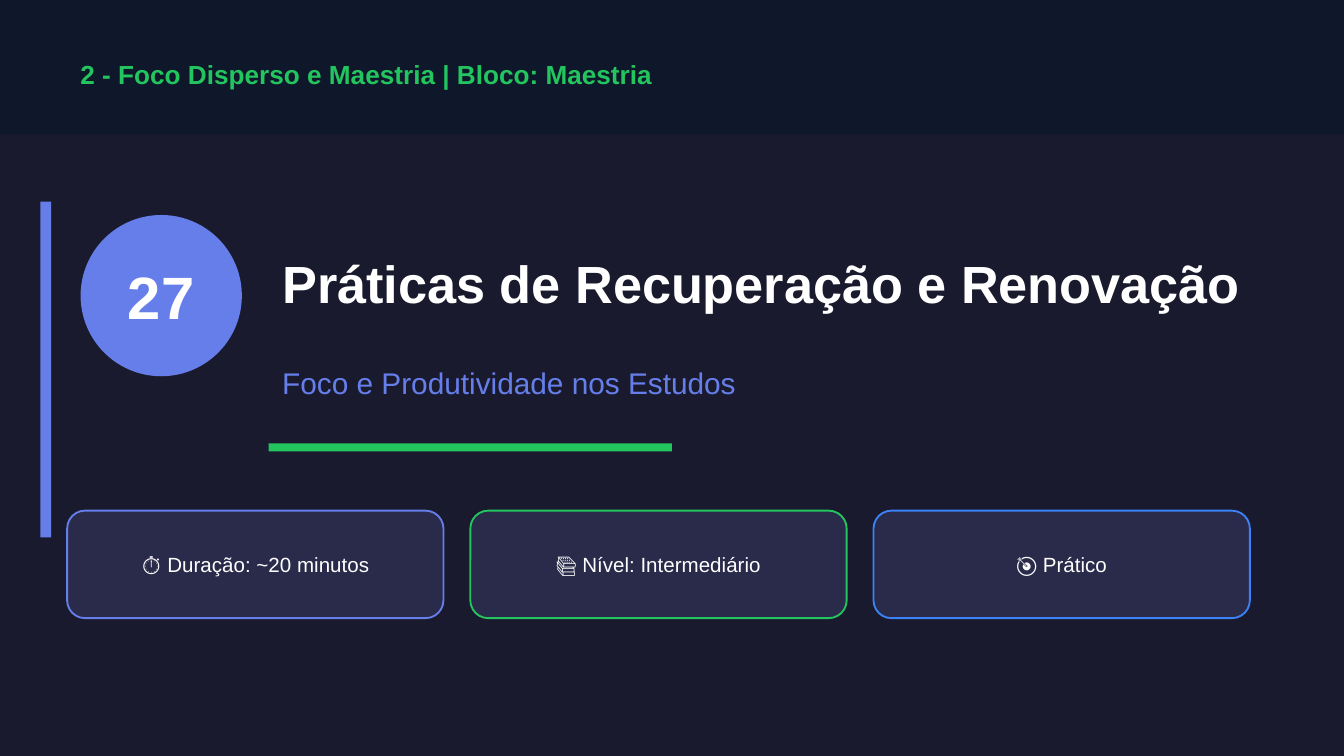
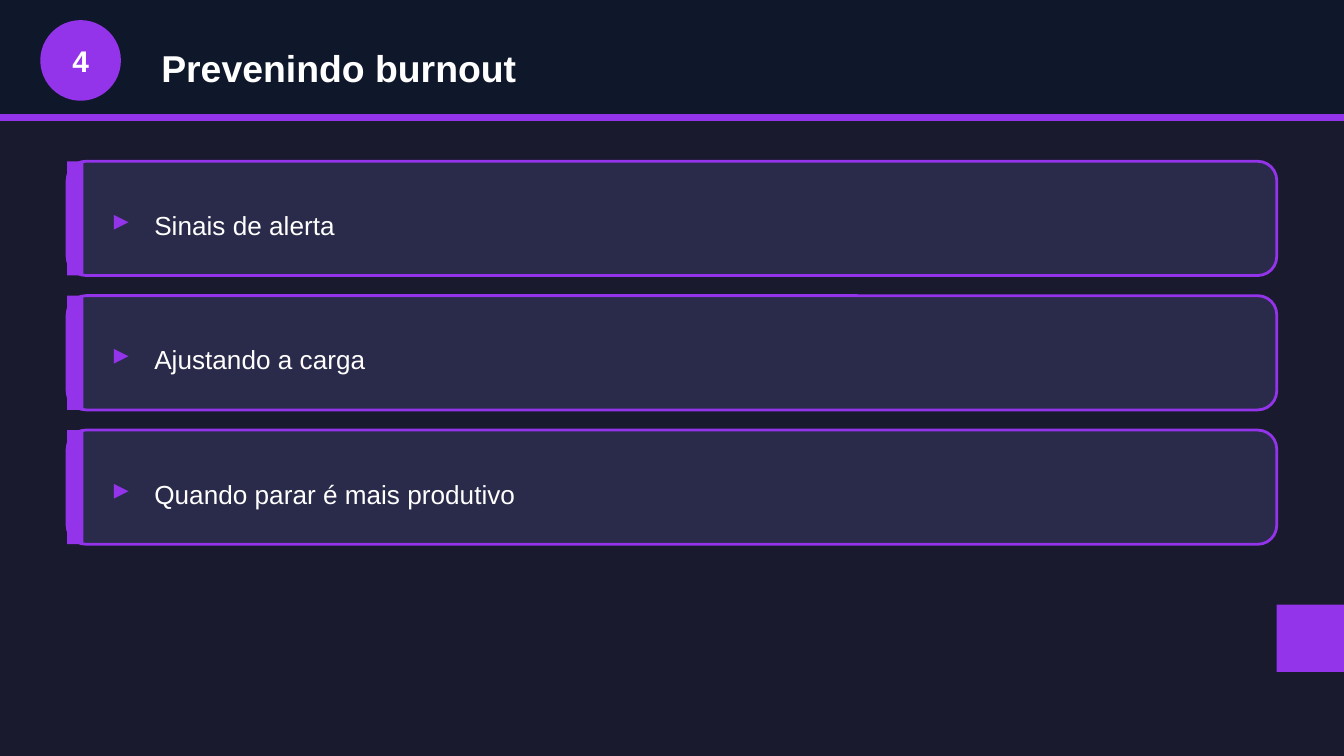
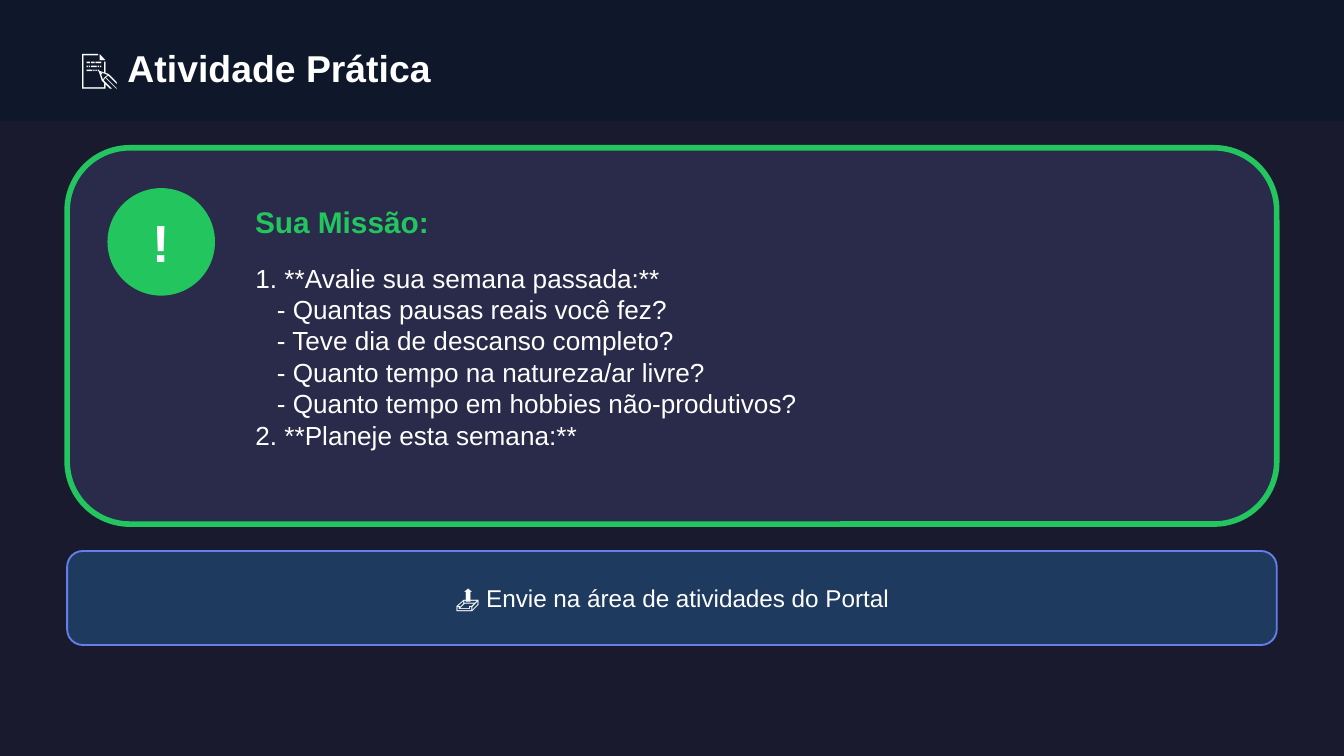
from pptx import Presentation
from pptx.dml.color import RGBColor
from pptx.enum.shapes import MSO_SHAPE
from pptx.enum.text import MSO_ANCHOR, MSO_AUTO_SIZE, PP_ALIGN
from pptx.util import Emu, Pt

# Content
COVER = {
    "module": "2 - Foco Disperso e Maestria | Bloco: Maestria",
    "number": "27",
    "title": "Práticas de Recuperação e Renovação",
    "subtitle": "Foco e Produtividade nos Estudos",
}
TOPIC = {
    "number": "4",
    "title": "Prevenindo burnout",
    "items": ["Sinais de alerta", "Ajustando a carga", "Quando parar é mais produtivo"],
}
ACTIVITY = {
    "title": "📝 Atividade Prática",
    "heading": "Sua Missão:",
    "steps": [  # (level, text)
        (0, "1. **Avalie sua semana passada:**"),
        (1, "- Quantas pausas reais você fez?"),
        (1, "- Teve dia de descanso completo?"),
        (1, "- Quanto tempo na natureza/ar livre?"),
        (1, "- Quanto tempo em hobbies não-produtivos?"),
        (0, "2. **Planeje esta semana:**"),
    ],
    "delivery": "📤 Envie na área de atividades do Portal",
}

# Shared style: 100 px to the inch, 16:9 slides
SCALE = 9144
WIDTH = 1000
MARGIN = 50
FONT = "Arial"
BACKGROUND, BAND, CARD, DELIVERY = "1A1A2E", "0F172A", "2A2A4A", "1E3A5F"
WHITE, INDIGO, GREEN, BLUE, PURPLE = "FFFFFF", "667EEA", "22C55E", "3B82F6", "9333EA"
FACTS = [
    ("⏱ Duração: ~20 minutos", INDIGO),
    ("📚 Nível: Intermediário", GREEN),
    ("🎯 Prático", BLUE),
]
RECTANGLE, ROUNDED, OVAL = MSO_SHAPE.RECTANGLE, MSO_SHAPE.ROUNDED_RECTANGLE, MSO_SHAPE.OVAL
LEFT, CENTER = PP_ALIGN.LEFT, PP_ALIGN.CENTER
TOP, MIDDLE = MSO_ANCHOR.TOP, MSO_ANCHOR.MIDDLE
NO_AUTOFIT = MSO_AUTO_SIZE.NONE
TITLE_LAYOUT, CONTENT_LAYOUT, TITLE_ONLY_LAYOUT = 0, 1, 5


def px(length):
    return Emu(length * SCALE)


def color(hex_string):
    return RGBColor.from_string(hex_string)


def write(shape, lines, size, ink=WHITE, bold=False, align=LEFT, anchor=MIDDLE):
    """Fill a shape with one paragraph per line."""
    frame = shape.text_frame
    frame.text = "\n".join(lines)
    frame.word_wrap = True
    frame.auto_size = NO_AUTOFIT
    frame.vertical_anchor = anchor
    for paragraph in frame.paragraphs:
        paragraph.alignment = align
        paragraph.space_before = Pt(0)
        font = paragraph.font
        font.name, font.size, font.bold = FONT, Pt(size), bold
        font.color.rgb = color(ink)


def add_text(slide, box, text, size, **style):
    write(slide.shapes.add_textbox(*map(px, box)), [text], size, **style)


def place(placeholder, box, lines, size, **style):
    """Move a placeholder to its box, in front of what is already drawn."""
    placeholder.left, placeholder.top, placeholder.width, placeholder.height = map(px, box)
    placeholder.element.getparent().append(placeholder.element)
    write(placeholder, lines, size, **style)


def add_shape(slide, kind, box, fill, line=None, line_width=1):
    shape = slide.shapes.add_shape(kind, *map(px, box))
    shape.shadow.inherit = False
    shape.fill.solid()
    shape.fill.fore_color.rgb = color(fill)
    if line:
        shape.line.color.rgb = color(line)
        shape.line.width = Pt(line_width)
    else:
        shape.line.fill.background()
    return shape


def add_badge(slide, left, top, diameter, fill, text, size):
    badge = add_shape(slide, OVAL, (left, top, diameter, diameter), fill)
    write(badge, [text], size, bold=True, align=CENTER)


def add_slide(presentation, layout, band_height):
    slide = presentation.slides.add_slide(presentation.slide_layouts[layout])
    add_shape(slide, RECTANGLE, (0, 0, WIDTH, band_height), BAND)
    return slide


def build_cover(presentation):
    slide = add_slide(presentation, TITLE_LAYOUT, 100)
    add_text(slide, (MARGIN, 35, 900, 40), COVER["module"], 14, ink=GREEN, bold=True)
    add_shape(slide, RECTANGLE, (30, 150, 8, 250), INDIGO)
    add_badge(slide, 60, 160, 120, INDIGO, COVER["number"], 32)
    place(slide.shapes.title, (200, 160, 750, 100), [COVER["title"]], 28, bold=True)
    place(slide.placeholders[1], (200, 260, 750, 50), [COVER["subtitle"]], 16, ink=INDIGO)
    add_shape(slide, RECTANGLE, (200, 330, 300, 6), GREEN)

    # Row of fact cards
    card_width, gap = 280, 20
    for index, (text, accent) in enumerate(FACTS):
        left = MARGIN + index * (card_width + gap)
        card = add_shape(slide, ROUNDED, (left, 380, card_width, 80), CARD, accent)
        write(card, [text], 11, align=CENTER)


def build_topic(presentation):
    slide = add_slide(presentation, TITLE_ONLY_LAYOUT, 90)
    add_shape(slide, RECTANGLE, (0, 85, WIDTH, 5), PURPLE)
    add_badge(slide, 30, 15, 60, PURPLE, TOPIC["number"], 16)
    place(slide.shapes.title, (110, 25, 850, 50), [TOPIC["title"]], 20, bold=True)

    # Stack of item cards
    card_height, gap = 85, 15
    for index, text in enumerate(TOPIC["items"]):
        top = 120 + index * (card_height + gap)
        add_shape(slide, ROUNDED, (MARGIN, top, 900, card_height), CARD, PURPLE, 1.5)
        add_shape(slide, RECTANGLE, (MARGIN, top, 12, card_height), PURPLE)
        add_text(slide, (75, top + 25, 30, 35), "▸", 16, ink=PURPLE, bold=True)
        add_text(slide, (105, top + 25, 820, 45), text, 14)
    add_shape(slide, RECTANGLE, (WIDTH - 50, 450, 50, 50), PURPLE)


def build_activity(presentation):
    slide = add_slide(presentation, CONTENT_LAYOUT, 90)
    place(slide.shapes.title, (MARGIN, 25, 900, 50), [ACTIVITY["title"]], 20, bold=True)

    # Mission card
    add_shape(slide, ROUNDED, (MARGIN, 110, 900, 280), CARD, GREEN, 3)
    add_badge(slide, 80, 140, 80, GREEN, "!", 28)
    add_text(slide, (180, 140, 750, 50), ACTIVITY["heading"], 16, ink=GREEN, bold=True)
    steps = slide.placeholders[1]
    place(steps, (180, 190, 740, 180), [text for _, text in ACTIVITY["steps"]], 14, anchor=TOP)
    for paragraph, (level, _) in zip(steps.text_frame.paragraphs, ACTIVITY["steps"]):
        properties = paragraph._p.get_or_add_pPr()
        properties.set("marL", str(px(16 * level)))
        properties.set("indent", "0")
        bullet_none = properties.makeelement(
            "{http://schemas.openxmlformats.org/drawingml/2006/main}buNone", {})
        properties.find("{*}defRPr").addprevious(bullet_none)

    # Delivery note
    note = add_shape(slide, ROUNDED, (MARGIN, 410, 900, 70), DELIVERY, INDIGO)
    write(note, [ACTIVITY["delivery"]], 13, align=CENTER)


def main():
    presentation = Presentation()
    presentation.slide_width = px(WIDTH)
    presentation.slide_height = Emu(px(WIDTH) * 9 // 16)
    background = presentation.slide_master.background.fill
    background.solid()
    background.fore_color.rgb = color(BACKGROUND)
    build_cover(presentation)
    build_topic(presentation)
    build_activity(presentation)
    presentation.save("out.pptx")


if __name__ == "__main__":
    main()
